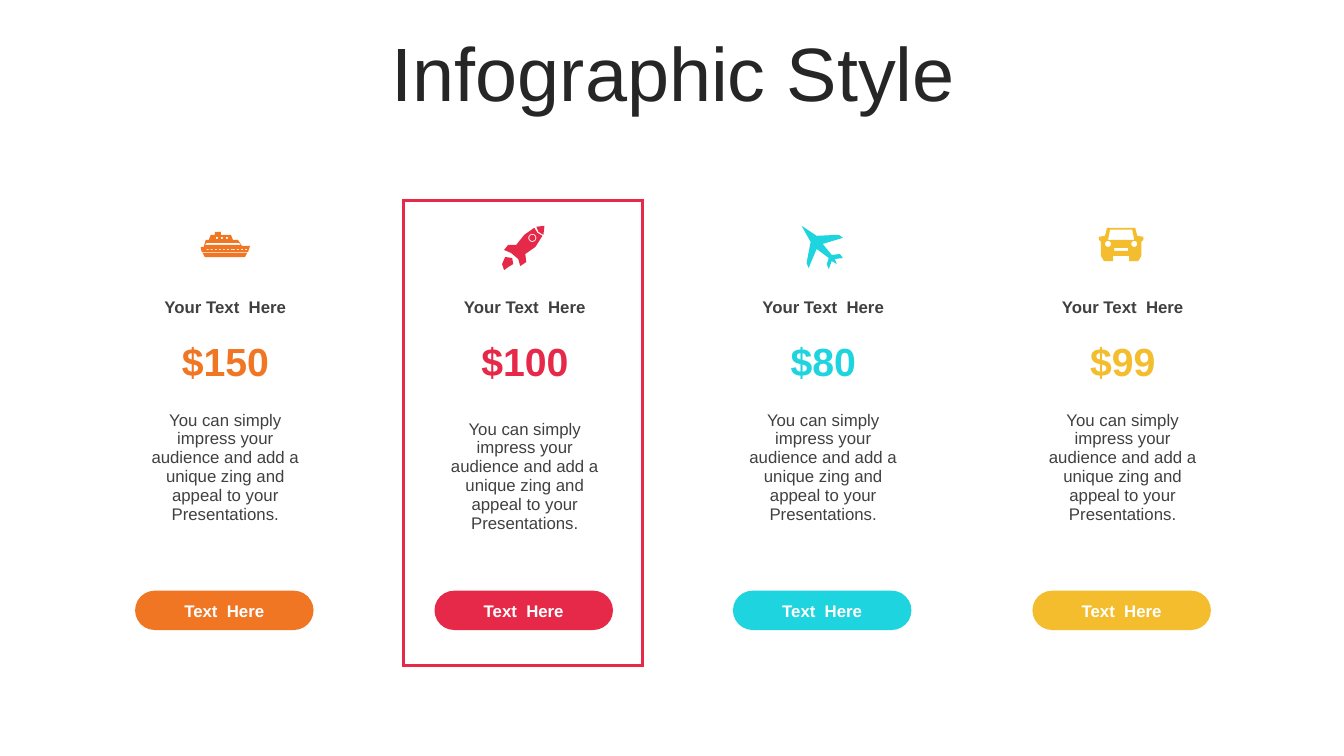
import math
import pptx
import pptx.util
import pptx.dml.color
import pptx.enum.shapes
import pptx.enum.text
import pptx.oxml
import pptx.oxml.ns

Inches = pptx.util.Inches
Pt = pptx.util.Pt
CENTER = pptx.enum.text.PP_ALIGN.CENTER
MIDDLE = pptx.enum.text.MSO_ANCHOR.MIDDLE
COLORS = {
    "title": "262626", "text": "404040", "white": "FFFFFF",
    "ship": "F07624", "rocket": "E62949", "plane": "1ED4DE", "car": "F4BD2D",
}
RGB = {name: pptx.dml.color.RGBColor.from_string(value) for name, value in COLORS.items()}
NO_GRID_STYLE = "{2D5ABB26-0587-4C30-8999-92F81FD0307C}"
CAR_CENTER = 11.12


def write(frame, text, size, color, bold):
    frame.text = text
    para = frame.paragraphs[0]
    para.alignment = CENTER
    font = para.runs[0].font
    font.name = "Arial"
    font.size = Pt(size)
    font.bold = bold
    font.color.rgb = RGB[color]


def mirror(center, half):
    right = [(center + x, y) for x, y in half]
    left = [(center - x, y) for x, y in reversed(half)]
    return right + left


ICONS = {
    "ship": [
        [(2.09, 2.33), (2.29, 2.33), (2.31, 2.38), (2.36, 2.38), (2.4, 2.44), (2.48, 2.44),
         (2.46, 2.5), (2, 2.5), (1.99, 2.45), (2.02, 2.45), (2.04, 2.38), (2.07, 2.38)],
        mirror(2.23, [(0.22, 2.51), (0.2, 2.55)]),
        mirror(2.21, [(0.16, 2.41), (0.18, 2.43)]),
    ],
    "rocket": [
        [(5.3, 2.26), (5.33, 2.31), (5.38, 2.34), (5.31, 2.45), (5.21, 2.52), (5.22, 2.6),
         (5.16, 2.64), (5.14, 2.57), (5.07, 2.51), (5, 2.48), (5.04, 2.43), (5.12, 2.43),
         (5.2, 2.33)],
        [(5.4, 2.24), (5.39, 2.33), (5.34, 2.3), (5.32, 2.25)],
        [(5.08, 2.56), (5.09, 2.62), (5.04, 2.65), (5, 2.68), (4.98, 2.62), (5.01, 2.55)],
    ],
    "plane": [
        [(7.95, 2.24), (8.1, 2.34), (8.32, 2.33), (8.36, 2.36), (8.16, 2.42), (8.25, 2.53),
         (8.33, 2.52), (8.36, 2.56), (8.28, 2.57), (8.3, 2.62), (8.25, 2.59), (8.22, 2.67),
         (8.2, 2.62), (8.22, 2.56), (8.1, 2.47), (8.02, 2.66), (8, 2.61), (8.04, 2.4)],
    ],
    "car": [
        mirror(CAR_CENTER, [(0.14, 2.26), (0.16, 2.34), (0.22, 2.35), (0.22, 2.38),
                            (0.2, 2.4), (0.2, 2.54), (0.17, 2.59), (0.08, 2.59), (0.08, 2.54)]),
        mirror(CAR_CENTER, [(0.11, 2.28), (0.13, 2.38)]),
        mirror(CAR_CENTER, [(0.07, 2.46), (0.07, 2.49)]),
    ],
}
for step in range(3):
    ICONS["ship"].append(mirror(2.15 + 0.05 * step, [(0.01, 2.35), (0.01, 2.37)]))
    ICONS["ship"].append(mirror(2.14 + 0.02 * step, [(0.01, 2.3), (0.01, 2.33)]))
for step in range(11):
    ICONS["ship"].append(mirror(2.06 + 0.04 * step - 0.02 * (step > 6), [(0.01, 2.47), (0.01, 2.48)]))
LAMPS = [("rocket", 5.28, 2.36, 0.04), ("rocket", 5.28, 2.36, 0.03),
         ("car", CAR_CENTER - 0.13, 2.42, 0.03), ("car", CAR_CENTER + 0.13, 2.42, 0.03)]
for name, x, y, radius in LAMPS:
    angles = [math.tau * step / 20 for step in range(20)]
    ICONS[name].append([(x + radius * math.cos(a), y + radius * math.sin(a)) for a in angles])

PLANS = [("ship", 1.03, "$150"), ("rocket", 4, "$100"), ("plane", 6.96, "$80"), ("car", 9.93, "$99")]
ROW_HEIGHTS = [0.83, 0.47, 0.63, 1.61, 0.3, 0.47, 0.3]
PITCH = "You can simply impress your audience and add a unique zing and appeal to your Presentations."

deck = pptx.Presentation()
deck.slide_width = Inches(13.33)
deck.slide_height = Inches(7.5)
page = deck.slides.add_slide(deck.slide_layouts[5])

title = page.shapes.title
title.left, title.top, title.width, title.height = [Inches(n) for n in (0.35, 0.37, 12.66, 0.79)]
write(title.text_frame, "Infographic Style", 54, "title", False)
title.text_frame.vertical_anchor = MIDDLE
title.text_frame.paragraphs[0].line_spacing = 0.9

for name, left, price in PLANS:
    highlighted = name == "rocket"
    column_widths = [0.3, 1.81, 0.26 if highlighted else 0.28]
    last_row, last_column = len(ROW_HEIGHTS) - 1, len(column_widths) - 1
    frame = page.shapes.add_table(
        len(ROW_HEIGHTS), len(column_widths), Inches(left), Inches(1.99),
        Inches(sum(column_widths)), Inches(sum(ROW_HEIGHTS)))
    table = frame.table
    table.first_row = False
    table.horz_banding = False
    table._tbl.tblPr[0].text = NO_GRID_STYLE
    for column, width in zip(table.columns, column_widths):
        column.width = Inches(width)
    for row, height in zip(table.rows, ROW_HEIGHTS):
        row.height = Inches(height)
    texts = {
        1: ("Your Text  Here", 12, "text", True),
        2: (price, 28, name, True),
        3: (PITCH, 12, "text", False),
    }
    for row in range(last_row + 1):
        for column in range(last_column + 1):
            cell = table.cell(row, column)
            edges = {"lnL": column == 0, "lnR": column == last_column,
                     "lnT": row == 0, "lnB": row == last_row}
            for edge, outer in edges.items():
                if highlighted and outer:
                    cell._tc.get_or_add_tcPr().append(pptx.oxml.parse_xml(
                        f'<a:{edge} {pptx.oxml.ns.nsdecls("a")} w="{Pt(2.25)}"><a:solidFill>'
                        f'<a:srgbClr val="{COLORS[name]}"/></a:solidFill></a:{edge}>'))
            cell.fill.solid()
            cell.fill.fore_color.rgb = RGB["white"]
            cell.vertical_anchor = MIDDLE
            if column == 1 and row in texts:
                write(cell.text_frame, *texts[row])
            else:
                cell.text_frame.paragraphs[0]._p.get_or_add_endParaRPr().set("sz", "1000")
    if not highlighted:
        table.cell(3, 1).margin_bottom = Inches(0.23)

    button = page.shapes.add_shape(
        pptx.enum.shapes.MSO_SHAPE.ROUNDED_RECTANGLE,
        Inches(left + 0.31), Inches(5.86), Inches(1.77), Inches(0.39))
    button.adjustments[0] = 0.5
    button.text_frame.vertical_anchor = MIDDLE
    write(button.text_frame, "Text  Here", 12, "white", True)

    contours = [[(Inches(x), Inches(y)) for x, y in contour] for contour in ICONS[name]]
    builder = page.shapes.build_freeform(*contours[0][0])
    for contour in contours:
        if contour is not contours[0]:
            builder.move_to(*contour[0])
        builder.add_line_segments(contour[1:], close=True)
    icon = builder.convert_to_shape()

    for shape in (button, icon):
        shape.shadow.inherit = False
        shape.fill.solid()
        shape.fill.fore_color.rgb = RGB[name]
        shape.line.fill.background()

deck.save("out.pptx")
